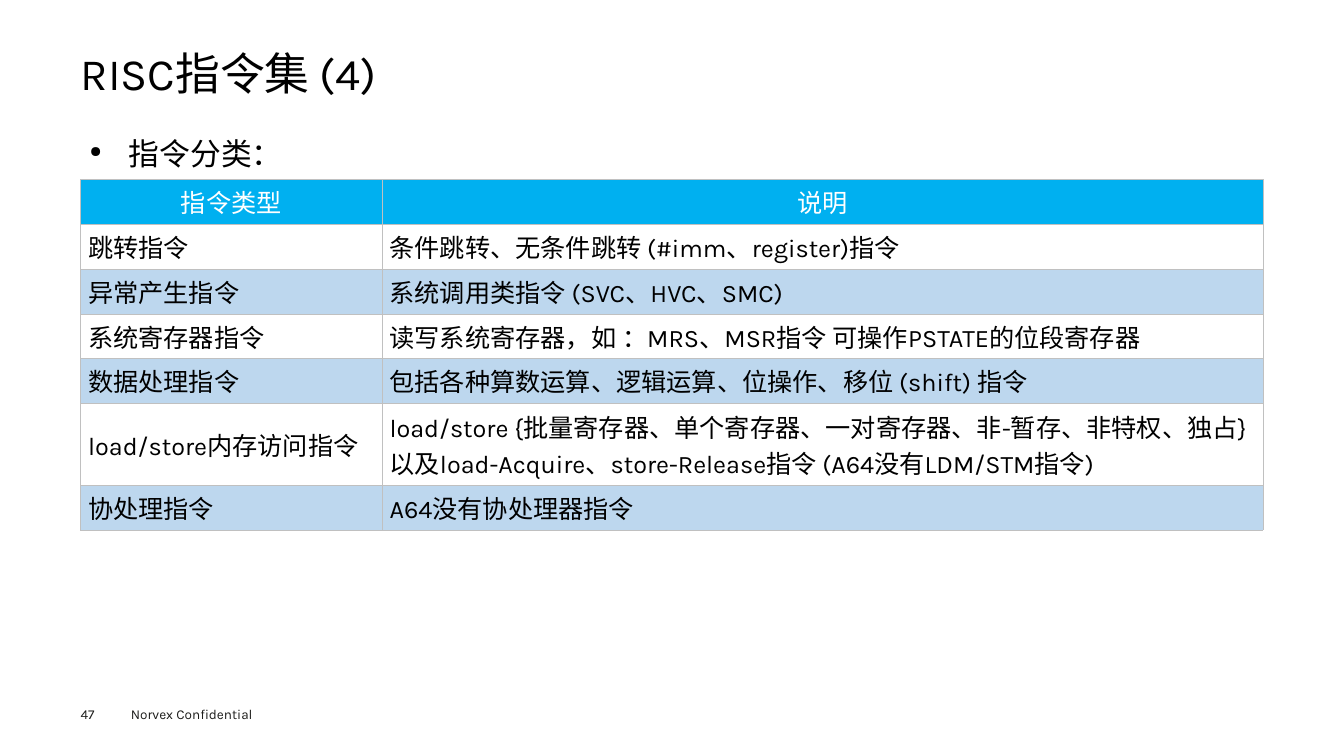
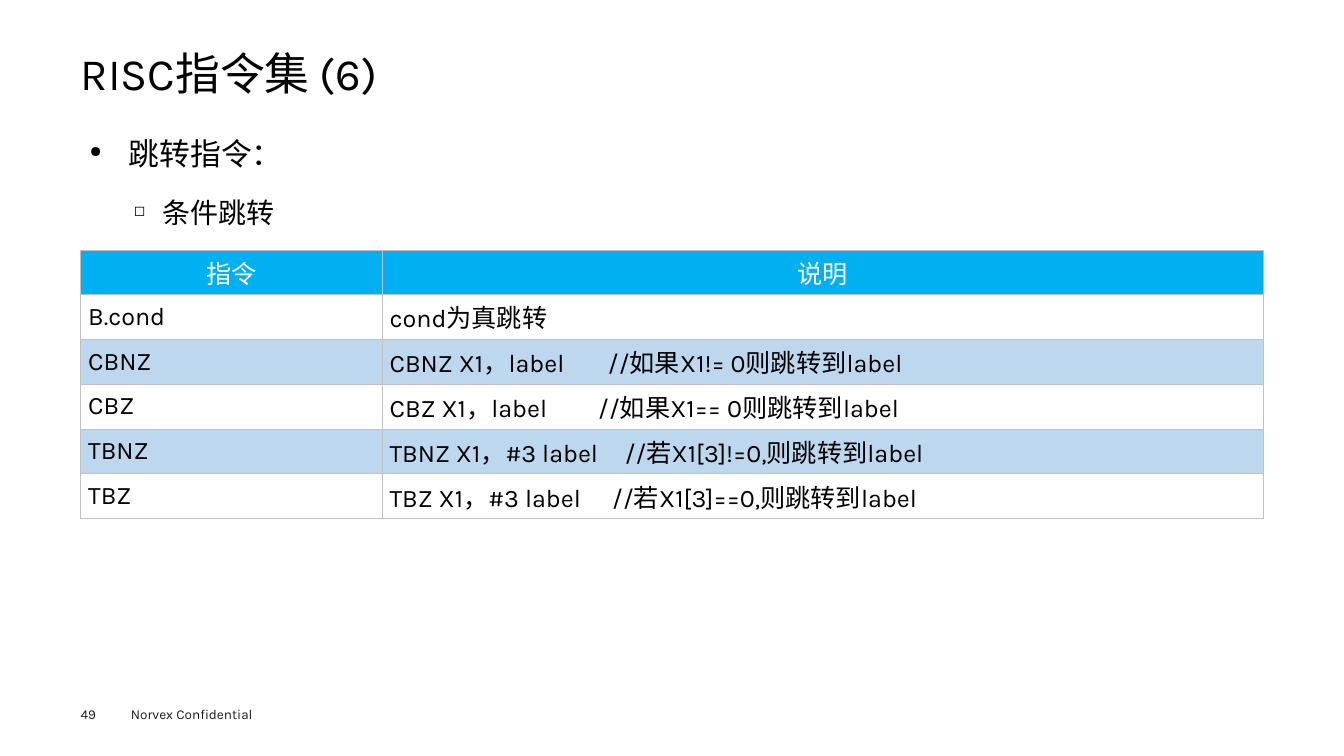
from lxml.etree import SubElement
from pptx import Presentation
from pptx.dml.color import RGBColor
from pptx.enum.text import MSO_ANCHOR, MSO_AUTO_SIZE, PP_ALIGN
from pptx.oxml.ns import qn
from pptx.util import Pt

BLACK = RGBColor(0x00, 0x00, 0x00)
WHITE = RGBColor(0xFF, 0xFF, 0xFF)
INK = RGBColor(0x1D, 0x1D, 0x1B)
HEADER = RGBColor(0x00, 0xB0, 0xF0)
BAND = RGBColor(0xBD, 0xD7, 0xEE)
GRID = RGBColor(0xC0, 0xC0, 0xC0)

FONT = "Karla"
LEFT, WIDTH = 57.6, 844.6
COLUMNS = (215.3, 629.3)
ROW, TALL_ROW = 32, 58.6

# Per level: font size, left indent, hanging indent, space before, bullet
LEVELS = ((22, 28, 28, 7.9, "●"), (20, 51.8, 20.2, 7.2, "◻"))


class Deck:
    def __init__(self):
        self.prs = Presentation()
        self.prs.slide_width, self.prs.slide_height = Pt(960), Pt(540)
        self.s = None

    def add_slide(self, title, number):
        self.s = self.prs.slides.add_slide(self.prs.slide_layouts[5])
        self.title(title)
        self.label(str(number), LEFT, 504, 39.6, 11.5, inset=(0, 0))
        self.label("Norvex Confidential", 86.4, 500.4, 115.2, 19.4)

    def run(self, p, text, size, color=BLACK):
        r = p.add_run()
        r.text = text
        r.font.name, r.font.size, r.font.bold = FONT, Pt(size), False
        r.font.color.rgb = color

    def frame(self, sp, inset):
        """Set wrapping and the horizontal and vertical insets."""
        tf = sp.text_frame
        tf.word_wrap, tf.auto_size = True, MSO_AUTO_SIZE.NONE
        tf.margin_left = tf.margin_right = Pt(inset[0])
        tf.margin_top = tf.margin_bottom = Pt(inset[1])
        return tf

    def title(self, text):
        sp = self.s.shapes.title
        sp.left, sp.top, sp.width, sp.height = Pt(LEFT), Pt(35.3), Pt(WIDTH), Pt(38.2)
        tf = self.frame(sp, (0, 0))
        tf.vertical_anchor = MSO_ANCHOR.MIDDLE
        p = tf.paragraphs[0]
        p.alignment, p.line_spacing = PP_ALIGN.LEFT, 0.9
        self.run(p, text, 32)

    def label(self, text, x, y, w, h, inset=(7.2, 3.6)):
        sp = self.s.shapes.add_textbox(Pt(x), Pt(y), Pt(w), Pt(h))
        self.run(self.frame(sp, inset).paragraphs[0], text, 9.7, INK)

    def bullets(self, *texts):
        """Write one bullet per text, each a level deeper than the last."""
        sp = self.s.shapes.add_textbox(Pt(LEFT), Pt(82.8), Pt(WIDTH), Pt(384.5))
        tf = self.frame(sp, (6.5, 3))
        for i, (text, level) in enumerate(zip(texts, LEVELS)):
            size, indent, hanging, before, mark = level
            p = tf.add_paragraph() if i else tf.paragraphs[0]
            p.level, p.line_spacing, p.space_before = i, 1.4, Pt(before)
            p.alignment = PP_ALIGN.LEFT if i else PP_ALIGN.JUSTIFY
            pPr = p._p.get_or_add_pPr()
            pPr.set("marL", str(Pt(indent)))
            pPr.set("indent", str(-Pt(hanging)))
            SubElement(pPr, qn("a:buSzPct"), val="50000")
            SubElement(pPr, qn("a:buChar"), char=mark)
            self.run(p, text, size)

    def table(self, y, rows, tall=(), stops=None):
        """Draw a banded table; stops maps a row to the tab stop of its comment."""
        heights = [TALL_ROW if i in tall else ROW for i in range(len(rows))]
        tbl = self.s.shapes.add_table(len(rows), len(COLUMNS), Pt(LEFT), Pt(y),
                                      Pt(WIDTH), Pt(sum(heights))).table
        tbl.first_row = tbl.horz_banding = False
        for column, width in zip(tbl.columns, COLUMNS):
            column.width = Pt(width)
        for i, texts in enumerate(rows):
            tbl.rows[i].height = Pt(heights[i])
            fill = HEADER if i == 0 else WHITE if i % 2 else BAND
            for j, text in enumerate(texts):
                p = self.cell(tbl.cell(i, j), text, fill)
                if "\t" in text:
                    tabs = SubElement(p._p.get_or_add_pPr(), qn("a:tabLst"))
                    SubElement(tabs, qn("a:tab"), pos=str(Pt(stops[i])), algn="l")

    def cell(self, cell, text, fill):
        cell.margin_left = cell.margin_right = Pt(5.4)
        cell.margin_top = cell.margin_bottom = Pt(2.7)
        cell.vertical_anchor = MSO_ANCHOR.MIDDLE
        tcPr = cell._tc.get_or_add_tcPr()
        for side in ("lnL", "lnR", "lnT", "lnB"):
            ln = SubElement(tcPr, qn(f"a:{side}"), w=str(Pt(0.38)))
            solid = SubElement(ln, qn("a:solidFill"))
            SubElement(solid, qn("a:srgbClr"), val=str(GRID))
        cell.fill.solid()
        cell.fill.fore_color.rgb = fill
        p = cell.text_frame.paragraphs[0]
        is_header = fill == HEADER
        p.alignment = PP_ALIGN.CENTER if is_header else PP_ALIGN.LEFT
        self.run(p, text, 18, WHITE if is_header else BLACK)
        return p


def main():
    deck = Deck()

    deck.add_slide("RISC指令集 (4)", 47)
    deck.bullets("指令分类：")
    deck.table(128.2, [
        ("指令类型", "说明"),
        ("跳转指令", "条件跳转、无条件跳转 (#imm、register)指令"),
        ("异常产生指令", "系统调用类指令 (SVC、HVC、SMC)"),
        ("系统寄存器指令", "读写系统寄存器，如 ：MRS、MSR指令 可操作PSTATE的位段寄存器"),
        ("数据处理指令", "包括各种算数运算、逻辑运算、位操作、移位 (shift) 指令"),
        ("load/store内存访问指令",
         "load/store {批量寄存器、单个寄存器、一对寄存器、非-暂存、非特权、独占}"
         "以及load-Acquire、store-Release指令 (A64没有LDM/STM指令)"),
        ("协处理指令", "A64没有协处理器指令"),
    ], tall=(5,))

    deck.add_slide("RISC指令集 (6)", 49)
    deck.bullets("跳转指令：", "条件跳转")
    deck.table(178.4, [
        ("指令", "说明"),
        ("B.cond", "cond为真跳转"),
        ("CBNZ", "CBNZ X1，label\t//如果X1!= 0则跳转到label"),
        ("CBZ", "CBZ X1，label\t//如果X1== 0则跳转到label"),
        ("TBNZ", "TBNZ X1，#3 label\t//若X1[3]!=0,则跳转到label"),
        ("TBZ", "TBZ X1，#3 label\t//若X1[3]==0,则跳转到label"),
    ], stops={2: 156, 3: 149, 4: 168, 5: 159})

    deck.prs.save("out.pptx")


if __name__ == "__main__":
    main()
